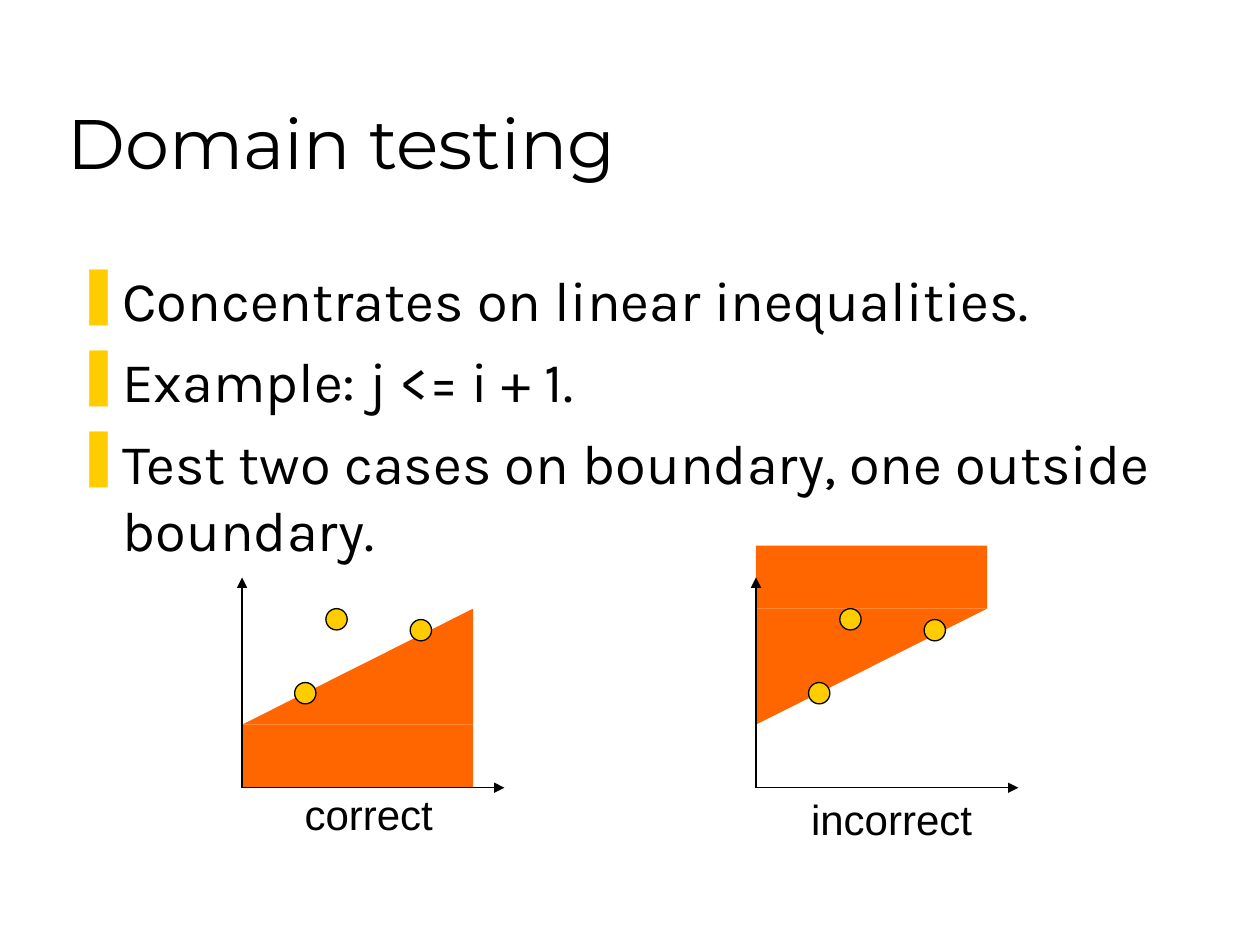
from lxml import etree
from pptx import Presentation
from pptx.dml.color import RGBColor
from pptx.enum.shapes import MSO_CONNECTOR, MSO_SHAPE
from pptx.enum.text import MSO_ANCHOR, MSO_AUTO_SIZE
from pptx.oxml.ns import qn
from pptx.util import Cm, Pt

BLACK = RGBColor(0x00, 0x00, 0x00)
ORANGE = RGBColor(0xFF, 0x66, 0x00)
YELLOW = RGBColor(0xFF, 0xCC, 0x00)
STRAIGHT = MSO_CONNECTOR.STRAIGHT
ELLIPSE = MSO_SHAPE.OVAL
RECTANGLE = MSO_SHAPE.RECTANGLE
TRIANGLE = MSO_SHAPE.RIGHT_TRIANGLE
TOP = MSO_ANCHOR.TOP
BOTTOM = MSO_ANCHOR.BOTTOM
NO_AUTOFIT = MSO_AUTO_SIZE.NONE

presentation = Presentation()
presentation.slide_width = Cm(25.4)
presentation.slide_height = Cm(19.05)
slide = presentation.slides.add_slide(presentation.slide_layouts[6])


def add_filled(kind, left, top, width, height, color):
    shape = slide.shapes.add_shape(kind, Cm(left), Cm(top), Cm(width), Cm(height))
    shape.shadow.inherit = False
    shape.fill.solid()
    shape.fill.fore_color.rgb = color
    shape.line.fill.background()
    return shape


def add_text(box, lines, font_format, frame_format, bullet=None):
    shape = slide.shapes.add_textbox(*[Cm(length) for length in box])
    frame = shape.text_frame
    for name, value in frame_format.items():
        setattr(frame, name, value)
    for index, line in enumerate(lines):
        paragraph = frame.paragraphs[0] if index == 0 else frame.add_paragraph()
        if bullet:
            properties = paragraph._p.get_or_add_pPr()
            properties.set("marL", str(Cm(0.95)))
            properties.set("indent", str(Cm(-0.95)))
            bullet_color = etree.SubElement(properties, qn("a:buClr"))
            etree.SubElement(bullet_color, qn("a:srgbClr")).set("val", str(YELLOW))
            etree.SubElement(properties, qn("a:buChar")).set("char", bullet)
            if index:
                paragraph.space_before = Pt(8)
        run = paragraph.add_run()
        run.text = line
        for name, value in font_format.items():
            setattr(run.font, name, value)
        run.font.color.rgb = BLACK


add_text(
    (1.12, 0.64, 21.59, 3.18),
    ["Domain testing"],
    {"name": "Montserrat", "size": Pt(40)},
    {"word_wrap": True, "auto_size": NO_AUTOFIT, "vertical_anchor": BOTTOM},
)
add_text(
    (1.27, 5.23, 22.71, 6.4),
    [
        "Concentrates on linear inequalities.",
        "Example: j <= i + 1.",
        "Test two cases on boundary, one outside boundary.",
    ],
    {"name": "Karla", "size": Pt(32)},
    {"word_wrap": True, "auto_size": NO_AUTOFIT, "vertical_anchor": TOP},
    "❚",
)

AXIS_Y = 15.88
REGION_WIDTH = 4.66
TRIANGLE_TOP = 12.27
TRIANGLE_HEIGHT = 2.34
BAND_HEIGHT = 1.27
DOT_SIZE = 0.43
DOT_OFFSETS = [(1.69, 12.27), (3.39, 12.49), (1.06, 13.76)]
graphs = [
    (4.88, "flipH", TRIANGLE_TOP + TRIANGLE_HEIGHT, "correct", (5.89, 15.77, 3.1, 1.27)),
    (15.24, "flipV", TRIANGLE_TOP - BAND_HEIGHT, "incorrect", (16.1, 15.88, 3.76, 1.27)),
]

for origin_x, flip, band_top, label, label_box in graphs:
    triangle = add_filled(TRIANGLE, origin_x, TRIANGLE_TOP, REGION_WIDTH, TRIANGLE_HEIGHT, ORANGE)
    triangle._element.spPr.find(qn("a:xfrm")).set(flip, "1")
    add_filled(RECTANGLE, origin_x, band_top, REGION_WIDTH, BAND_HEIGHT, ORANGE)

    for end_x, end_y in [(origin_x + 5.29, AXIS_Y), (origin_x, 11.64)]:
        axis = slide.shapes.add_connector(
            STRAIGHT, Cm(origin_x), Cm(AXIS_Y), Cm(end_x), Cm(end_y)
        )
        axis.line.color.rgb = BLACK
        axis.line.width = Pt(0.75)
        etree.SubElement(axis.line._get_or_add_ln(), qn("a:tailEnd")).set("type", "triangle")
        etree.SubElement(axis._element.spPr, qn("a:effectLst"))

    for offset_x, dot_top in DOT_OFFSETS:
        dot = add_filled(ELLIPSE, origin_x + offset_x, dot_top, DOT_SIZE, DOT_SIZE, YELLOW)
        dot.line.color.rgb = BLACK
        dot.line.width = Pt(0.75)

    add_text(
        label_box,
        [label],
        {"name": "Arial", "size": Pt(24)},
        {"word_wrap": False, "auto_size": MSO_AUTO_SIZE.SHAPE_TO_FIT_TEXT},
    )

presentation.save("out.pptx")
